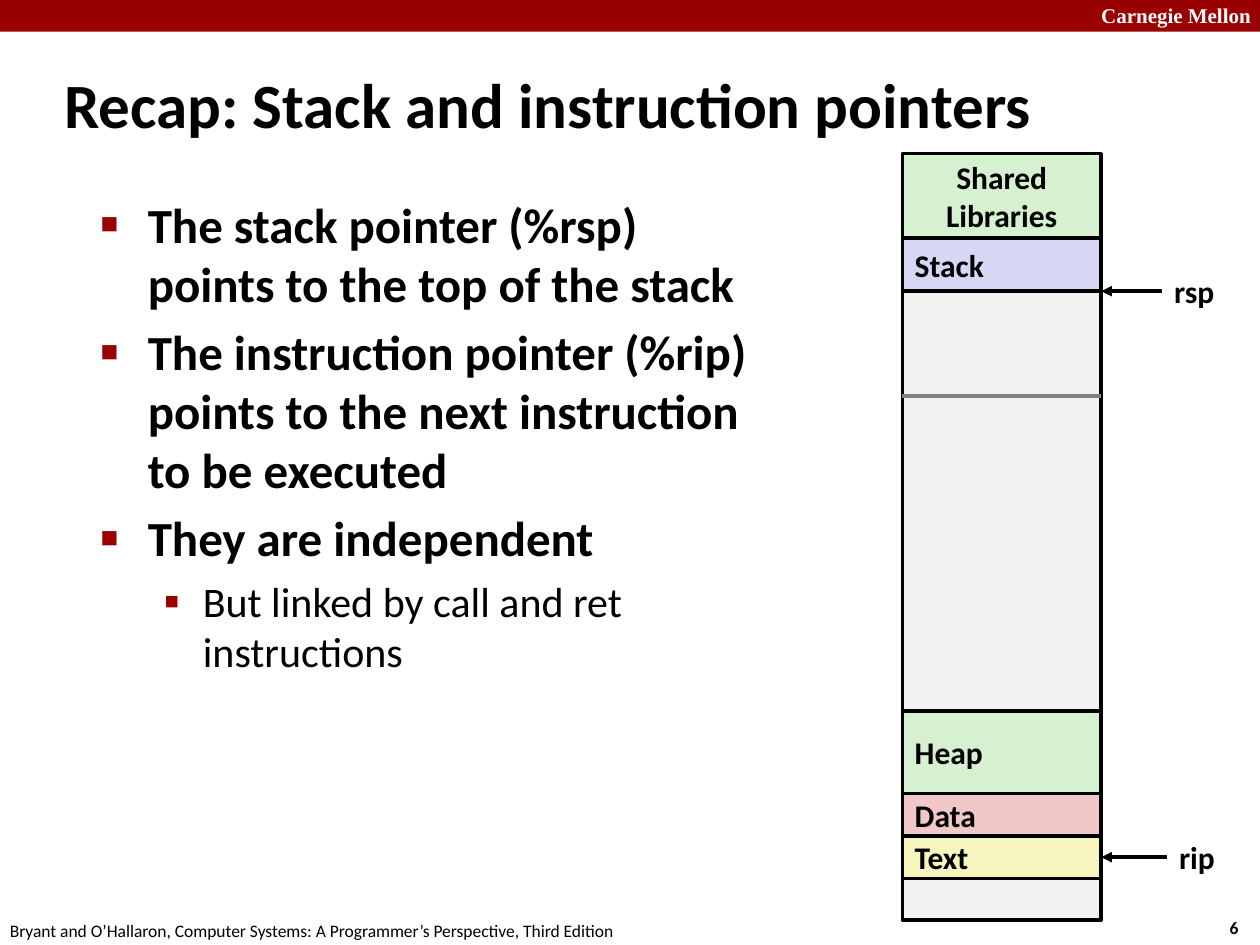
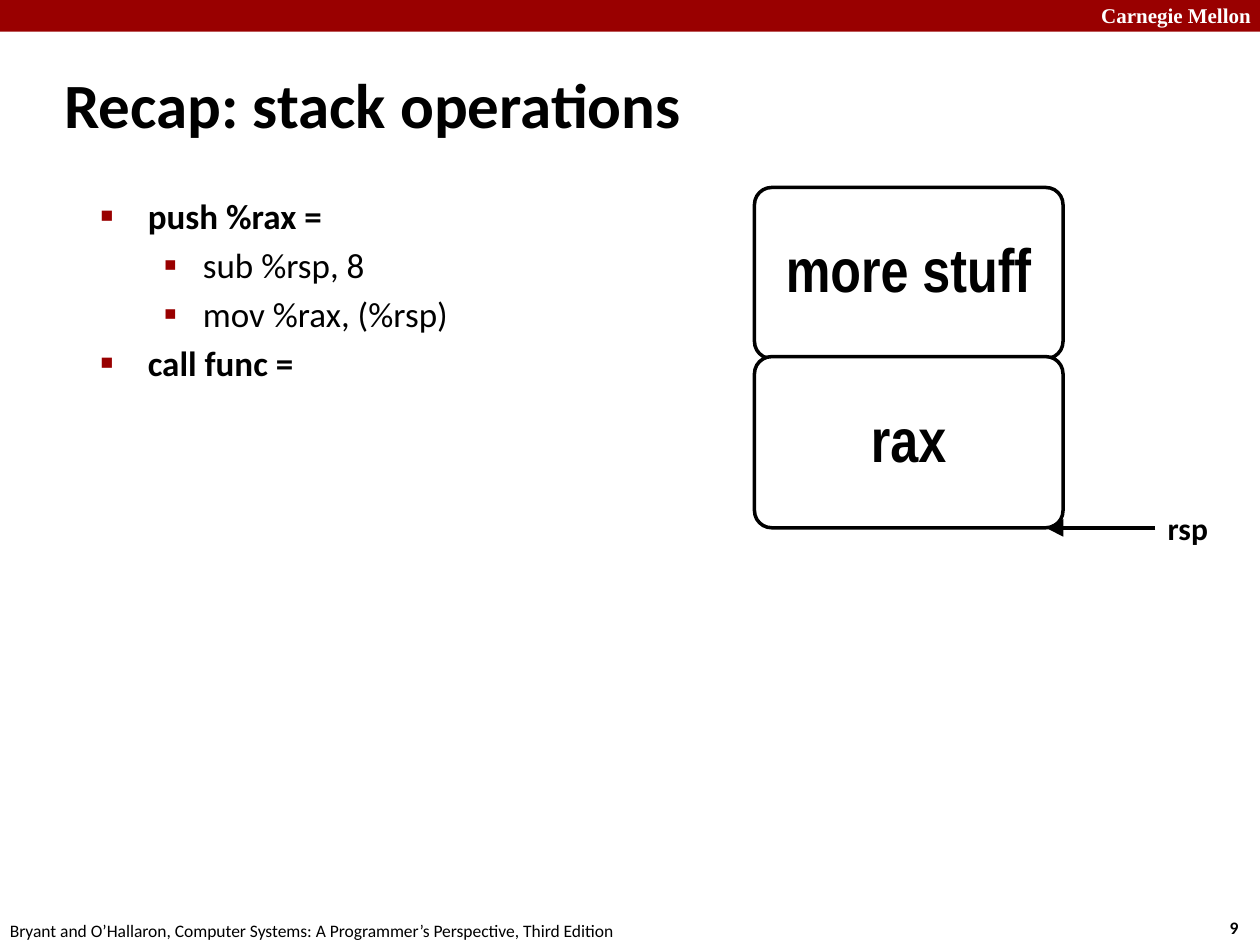
from lxml.etree import SubElement
from pptx import Presentation
from pptx.dml.color import RGBColor
from pptx.enum.shapes import MSO_CONNECTOR as Link, MSO_SHAPE as Shape
from pptx.enum.text import MSO_ANCHOR as Anchor, MSO_AUTO_SIZE as AutoSize, PP_ALIGN as Align
from pptx.oxml.ns import qn
from pptx.util import Cm, Pt

BLACK = RGBColor(0x00, 0x00, 0x00)
WHITE = RGBColor(0xFF, 0xFF, 0xFF)
RED = RGBColor(0x99, 0x00, 0x00)
GRAY = RGBColor(0x80, 0x80, 0x80)
FREE_GRAY = RGBColor(0xF2, 0xF2, 0xF2)
BLUE = RGBColor(0xD6, 0xD6, 0xF5)
GREEN = RGBColor(0xD5, 0xF1, 0xCF)
PINK = RGBColor(0xF1, 0xC7, 0xC7)
YELLOW = RGBColor(0xF6, 0xF5, 0xBD)

PAGE_WIDTH, PAGE_HEIGHT = 25.4, 19.05
LINE_WIDTH = Pt(2)
FOOTER = "Bryant and O’Hallaron, Computer Systems: A Programmer’s Perspective, Third Edition"

TITLE = {"name": "Calibri", "size": Pt(36), "bold": True}
SCHOOL = {"name": "Times New Roman", "size": Pt(12), "bold": True}
SMALL = {"name": "Calibri", "size": Pt(10), "bold": False}
PAGE_NUMBER = {**SMALL, "bold": True}
LABEL = {"name": "Calibri", "size": Pt(18), "bold": True}
BLOCK = {"name": "Arial Narrow", "size": Pt(35), "bold": True}

# One entry per outline level: character, size in percent, left margin, hanging indent
BULLETS = [("■", 60, 0.95, 0.95), ("▪", 110, 2.06, 0.79)]

# Memory areas from top to bottom: name, height, fill
FREE_SPACE = None
MEMORY = [
    ("Shared\nLibraries", 1.7, GREEN),
    ("Stack", 1.07, BLUE),
    (FREE_SPACE, 8.46, FREE_GRAY),
    ("Heap", 1.67, GREEN),
    ("Data", 0.85, PINK),
    ("Text", 0.86, YELLOW),
    (FREE_SPACE, 0.84, FREE_GRAY),
]
MEMORY_LEFT, MEMORY_TOP, MEMORY_WIDTH = 18.19, 3.1, 4.01


def place(left, top, width, height):
    return [Cm(value) for value in (left, top, width, height)]


def write(paragraph, text, style, color=BLACK):
    span = paragraph.add_run()
    span.text = text
    for name, value in style.items():
        setattr(span.font, name, value)
    span.font.color.rgb = color


def add_text(page, area, text, style, color=BLACK, wrap=False):
    box = page.shapes.add_textbox(*place(*area))
    box.text_frame.word_wrap = wrap
    write(box.text_frame.paragraphs[0], text, style, color)
    return box


def add_box(page, area, fill, kind=Shape.RECTANGLE, outlined=True):
    box = page.shapes.add_shape(kind, *place(*area))
    box.shadow.inherit = False
    box.fill.solid()
    box.fill.fore_color.rgb = fill
    if outlined:
        box.line.color.rgb = BLACK
        box.line.width = LINE_WIDTH
    else:
        box.line.fill.background()
    return box


def fill_box(box, text, style, align):
    frame = box.text_frame
    frame.vertical_anchor = Anchor.MIDDLE
    for index, line in enumerate(text.split("\n")):
        para = frame.add_paragraph() if index else frame.paragraphs[0]
        para.alignment = align
        write(para, line, style)


def add_line(page, start, end, color=BLACK):
    points = [Cm(value) for value in (*start, *end)]
    line = page.shapes.add_connector(Link.STRAIGHT, *points)
    line.line.color.rgb = color
    line.line.width = LINE_WIDTH
    SubElement(line._element.spPr, qn("a:effectLst"))
    return line


def add_pointer(page, name, label_left, tip, target=None, head="med"):
    """Label whose arrow runs left to tip, or to the right side of target."""
    tip_left, middle = tip
    label = add_text(page, (label_left, middle - 0.51, 1.6, 1.02), name, LABEL)
    label.text_frame.auto_size = AutoSize.NONE
    arrow = add_line(page, (label_left, middle), tip)
    arrow.begin_connect(label, 1)
    if target is not None:
        arrow.end_connect(target, 3)
    SubElement(arrow.line._get_or_add_ln(), qn("a:tailEnd"), type="triangle", w=head, len=head)


def set_bullet(paragraph, level):
    character, percent, margin, hanging = BULLETS[level]
    paragraph.level = level
    props = paragraph._p.get_or_add_pPr()
    props.set("marL", str(Cm(margin)))
    props.set("indent", str(-Cm(hanging)))
    color = SubElement(props, qn("a:buClr"))
    SubElement(color, qn("a:srgbClr"), val=str(RED))
    SubElement(props, qn("a:buSzPct"), val=str(percent * 1000))
    SubElement(props, qn("a:buFont"), typeface="Arial")
    SubElement(props, qn("a:buChar"), char=character)


def add_bullets(page, width, items, sizes):
    """items are (level, text); sizes holds the points for each level."""
    box = page.shapes.add_textbox(*place(1.78, 3.79, width, 13.82))
    frame = box.text_frame
    frame.word_wrap = True
    for index, (level, text) in enumerate(items):
        para = frame.add_paragraph() if index else frame.paragraphs[0]
        set_bullet(para, level)
        if index:
            para.space_before = Pt(sizes[level] * 0.2)
        write(para, text, {"name": "Calibri", "size": Pt(sizes[level]), "bold": level == 0})


def add_page(deck, title, number):
    page = deck.slides.add_slide(deck.slide_layouts[5])
    add_box(page, (0, 0, PAGE_WIDTH, 0.64), RED, outlined=False)
    add_text(page, (21.95, -0.08, 3.63, 0.76), "Carnegie Mellon", SCHOOL, WHITE, wrap=True)
    add_text(page, (24.54, 18.36, 0.94, 0.69), number, PAGE_NUMBER)
    add_text(page, (-0.05, 18.42, 12.9, 0.69), FOOTER, SMALL)

    heading = page.shapes.title
    heading.left, heading.top, heading.width, heading.height = place(1.04, 1.03, 21.08, 2.1)
    frame = heading.text_frame
    frame.auto_size = AutoSize.NONE
    frame.vertical_anchor = Anchor.MIDDLE
    frame.paragraphs[0].alignment = Align.LEFT
    write(frame.paragraphs[0], title, TITLE)
    return page


def add_memory(page):
    """Draw the memory column and return its named areas."""
    total = sum(height for _, height, _ in MEMORY)
    add_box(page, (MEMORY_LEFT, MEMORY_TOP, MEMORY_WIDTH, total), FREE_GRAY)
    right = MEMORY_LEFT + MEMORY_WIDTH
    add_line(page, (MEMORY_LEFT, 7.98), (right, 7.98), GRAY)
    areas, top = {}, MEMORY_TOP
    for name, height, fill in MEMORY:
        if name is not FREE_SPACE:
            area = add_box(page, (MEMORY_LEFT, top, MEMORY_WIDTH, height), fill)
            fill_box(area, name, LABEL, Align.CENTER if "\n" in name else Align.LEFT)
            areas[name] = area
        top += height
    return areas


def add_stack_blocks(page, names):
    left, top, width, height, pitch = 15.21, 3.78, 6.22, 3.45, 3.41
    for index, name in enumerate(names):
        area = (left, top + index * pitch, width, height)
        block = add_box(page, area, WHITE, Shape.ROUNDED_RECTANGLE)
        block.adjustments[0] = 0.1
        fill_box(block, name, BLOCK, Align.CENTER)
        frame = block.text_frame
        frame.paragraphs[0].line_spacing = 0.9
        for side in ("left", "top", "right", "bottom"):
            setattr(frame, f"margin_{side}", Cm(0.48))


def build_pointers_page(deck):
    page = add_page(deck, "Recap: Stack and instruction pointers", "6")
    add_bullets(page, 13.89, [
        (0, "The stack pointer (%rsp) points to the top of the stack"),
        (0, "The instruction pointer (%rip) points to the next instruction to be executed"),
        (0, "They are independent"),
        (1, "But linked by call and ret instructions"),
    ], (28, 24))
    areas = add_memory(page)
    right = MEMORY_LEFT + MEMORY_WIDTH
    add_pointer(page, "rsp", 23.42, (right, 5.87))
    add_pointer(page, "rip", 23.52, (right, 17.28), areas["Text"])


def build_operations_page(deck):
    page = add_page(deck, "Recap: stack operations", "9")
    add_bullets(page, 10.74, [
        (0, "push %rax ="),
        (1, "sub %rsp, 8"),
        (1, "mov %rax, (%rsp)"),
        (0, "call func ="),
    ], (20, 20))
    add_stack_blocks(page, ["more stuff", "rax"])
    add_pointer(page, "rsp", 23.29, (21.08, 10.64), head="lg")


def main():
    deck = Presentation()
    deck.slide_width, deck.slide_height = Cm(PAGE_WIDTH), Cm(PAGE_HEIGHT)
    build_pointers_page(deck)
    build_operations_page(deck)
    deck.save("out.pptx")


if __name__ == "__main__":
    main()
